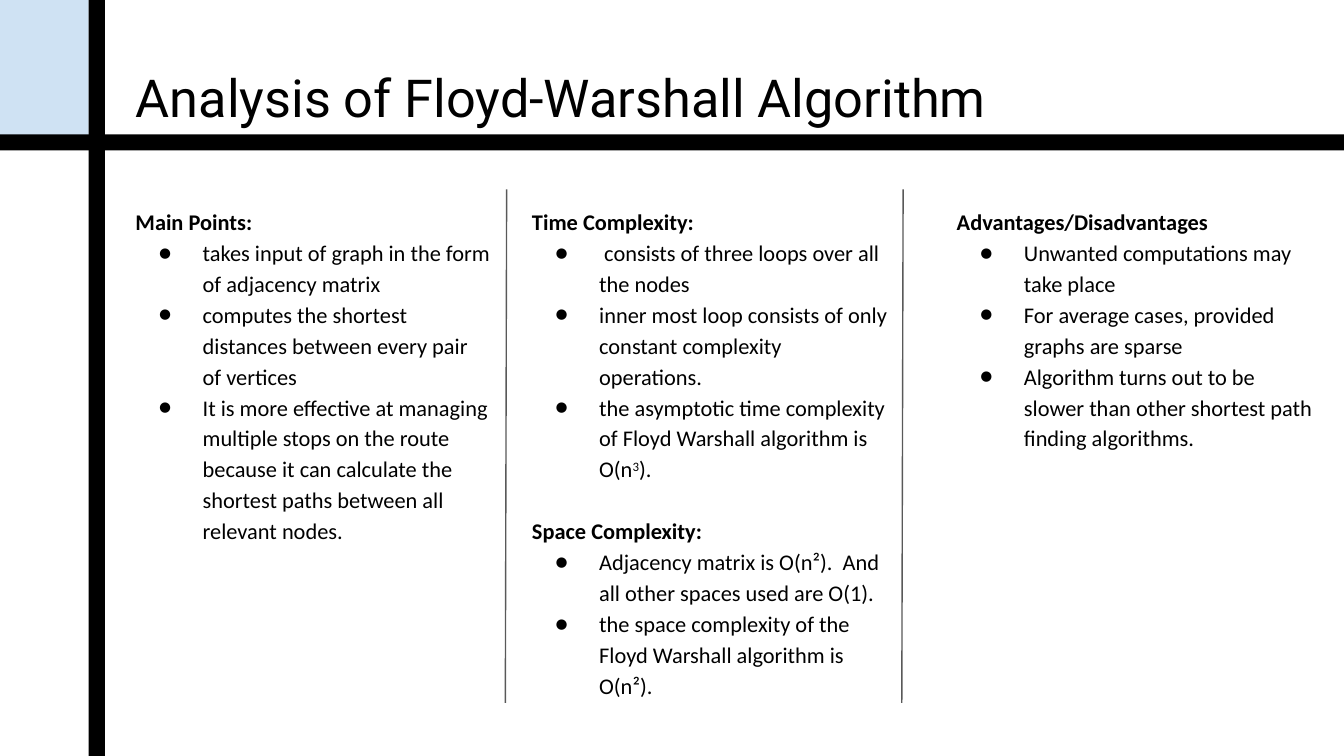
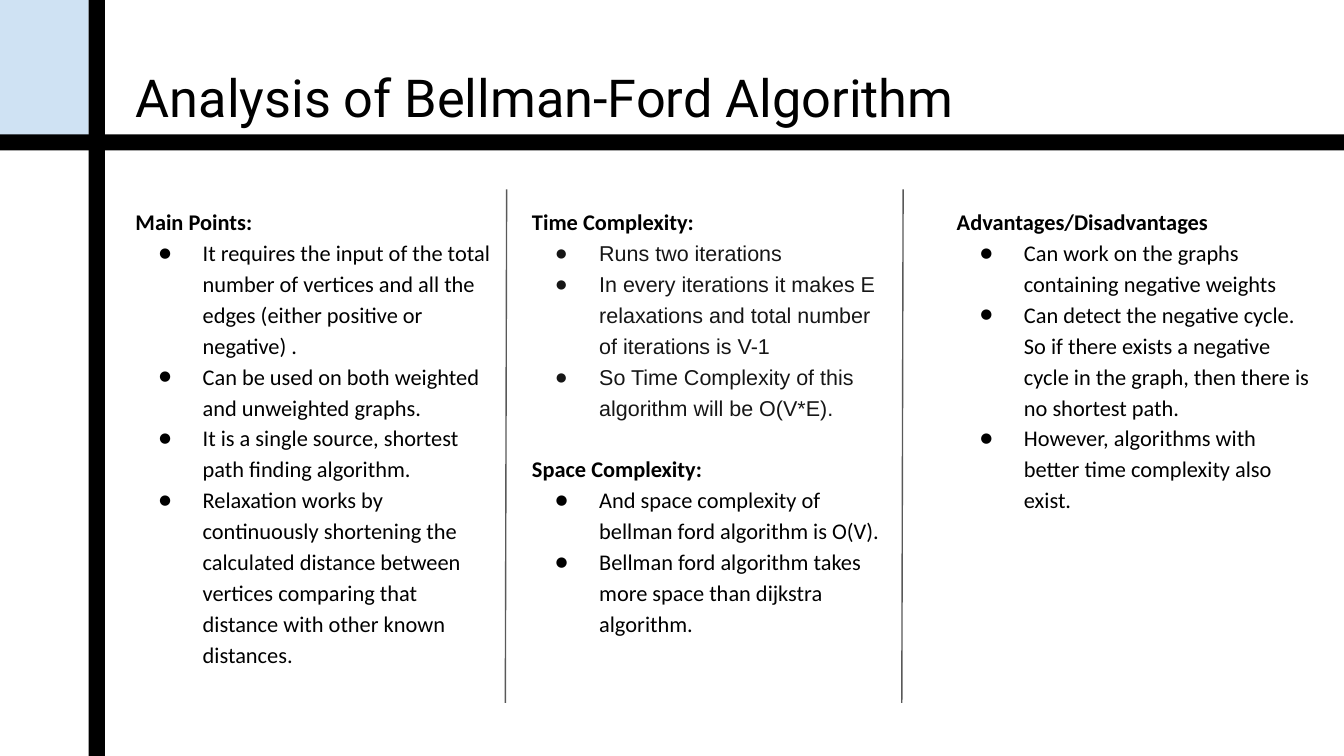
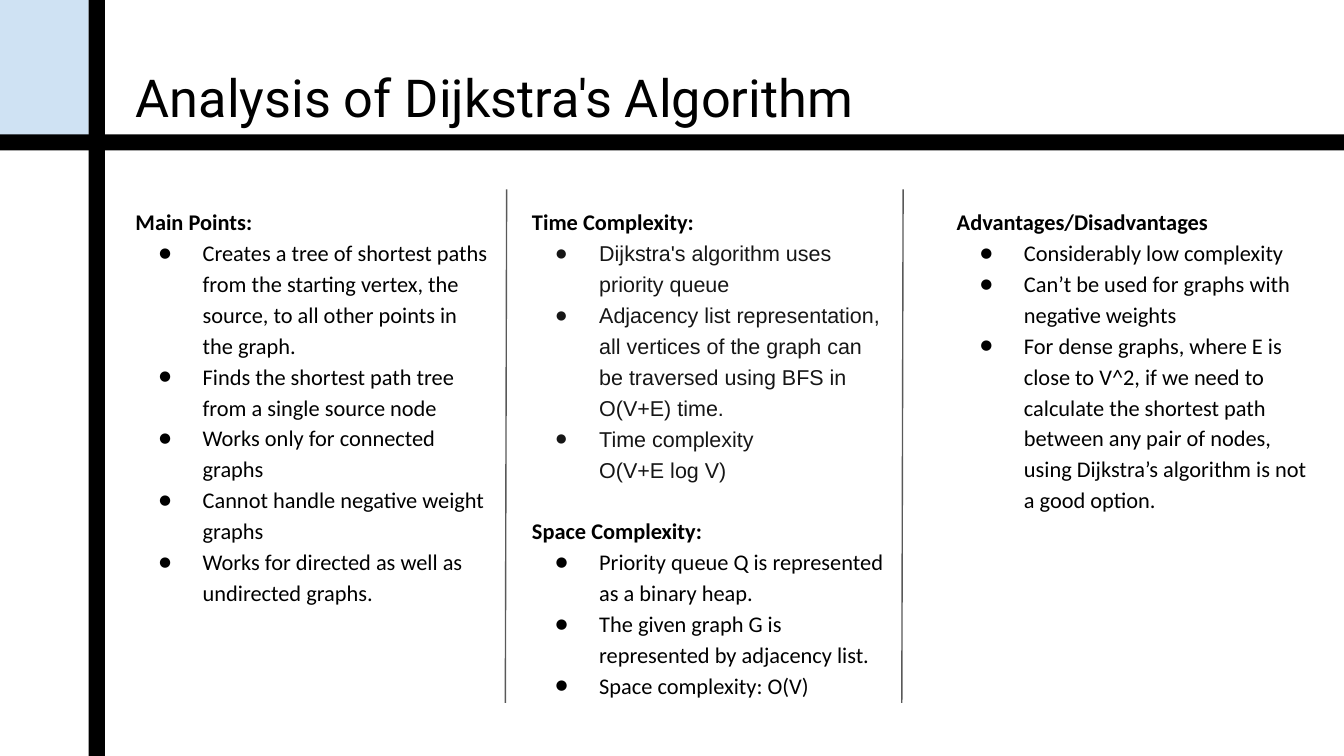
from lxml.etree import SubElement
from pptx import Presentation
from pptx.dml.color import RGBColor
from pptx.enum.shapes import MSO_CONNECTOR, MSO_SHAPE
from pptx.enum.text import MSO_ANCHOR, MSO_AUTO_SIZE, PP_ALIGN
from pptx.oxml.ns import qn
from pptx.util import Inches, Pt

WIDTH = 10
HEIGHT = WIDTH * 9 / 16

COLORS = {
    "corner": "CFE2F3",
    "band": "000000",
    "text": "000000",
    "soft_text": "161616",
    "divider": "595959",
}

# Text styles: font, size, colour, line spacing
BODY = ("Calibri", 12, "text", 1.15)
SOFT = ("Arial", 11.5, "soft_text", 1.2)

COLUMNS = ((0.91, 2.84), (3.86, 2.85), (7.02, 2.85))   # left, width
DIVIDER_LEFTS = (3.77, 6.72)
SECTION_GAP = 16.6
SUPERSCRIPT = "~"   # encloses raised characters
UNBULLETED = ">"    # starts a line that continues the item above


def rgb(name):
    return RGBColor.from_string(COLORS[name])


class Deck:
    def __init__(self):
        self.prs = Presentation()
        self.prs.slide_width = Inches(WIDTH)
        self.prs.slide_height = Inches(HEIGHT)
        self.s = None

    def add_slide(self, title):
        self.s = self.prs.slides.add_slide(self.prs.slide_layouts[5])
        self.band(0, 0, 0.66, 1.03, "corner")
        self.band(0, 1, WIDTH, 0.12, "band")
        self.band(0.66, 0, 0.12, HEIGHT, "band")
        self.title(title)

    def band(self, left, top, width, height, color):
        sp = self.s.shapes.add_shape(MSO_SHAPE.RECTANGLE, Inches(left), Inches(top),
                                     Inches(width), Inches(height))
        sp.shadow.inherit = False
        sp.fill.solid()
        sp.fill.fore_color.rgb = rgb(color)
        sp.line.fill.background()

    def frame(self, sp, anchor):
        tf = sp.text_frame
        tf.word_wrap = True
        tf.auto_size = MSO_AUTO_SIZE.NONE
        tf.vertical_anchor = anchor
        tf.margin_left = tf.margin_right = Inches(0.1)
        tf.margin_top = tf.margin_bottom = Inches(0.1)
        return tf

    def title(self, text):
        sp = self.s.shapes.title
        sp.left, sp.top = Inches(0.91), Inches(0.59)
        sp.width, sp.height = Inches(8.31), Inches(0.26)
        tf = self.frame(sp, MSO_ANCHOR.MIDDLE)
        tf.text = text
        p = tf.paragraphs[0]
        p.alignment = PP_ALIGN.LEFT
        self.font(p.runs[0], "Roboto", 28, "text")

    def font(self, r, name, size, color, bold=False):
        r.font.name = name
        r.font.size = Pt(size)
        r.font.bold = bold
        r.font.color.rgb = rgb(color)

    def paragraph(self, p, text, style, bold=False):
        name, size, color, spacing = style
        p.line_spacing = spacing
        for i, part in enumerate(text.split(SUPERSCRIPT)):
            r = p.add_run()
            r.text = part
            self.font(r, name, size, color, bold)
            if i % 2:
                r.font._element.set("baseline", "30000")

    def item(self, p, text, style):
        bulleted = not text.startswith(UNBULLETED)
        self.paragraph(p, text.removeprefix(UNBULLETED), style)
        pPr = p._p.get_or_add_pPr()
        pPr.set("marL", str(Inches(0.5)))
        pPr.set("indent", str(Inches(-0.33) if bulleted else 0))
        if bulleted:
            name, size, color, _ = style
            clr = SubElement(pPr, qn("a:buClr"))
            SubElement(clr, qn("a:srgbClr")).set("val", COLORS[color])
            SubElement(pPr, qn("a:buSzPts")).set("val", str(int(size * 100)))
            SubElement(pPr, qn("a:buFont")).set("typeface", name)
            SubElement(pPr, qn("a:buChar")).set("char", "●")

    def column(self, left, width, sections):
        sp = self.s.shapes.add_textbox(Inches(left), Inches(1.42), Inches(width), Inches(3.8))
        tf = self.frame(sp, MSO_ANCHOR.TOP)
        for i, (heading, style, items) in enumerate(sections):
            p = tf.add_paragraph() if i else tf.paragraphs[0]
            self.paragraph(p, heading, BODY, bold=True)
            if i:
                p.space_before = Pt(SECTION_GAP)
            for text in items:
                self.item(tf.add_paragraph(), text, style)

    def divider(self, left):
        ln = self.s.shapes.add_connector(MSO_CONNECTOR.STRAIGHT, Inches(left), Inches(1.41),
                                         Inches(left - 0.01), Inches(5.23))
        ln.line.color.rgb = rgb("divider")
        ln.line.width = Pt(0.75)
        SubElement(ln._element.spPr, qn("a:effectLst"))

    def analysis(self, algorithm, main, time_style, time, space, judgement):
        self.add_slide(f"Analysis of {algorithm} Algorithm")
        contents = (
            [("Main Points:", BODY, main)],
            [("Time Complexity:", time_style, time), ("Space Complexity:", BODY, space)],
            [("Advantages/Disadvantages", BODY, judgement)],
        )
        for (left, width), sections in zip(COLUMNS, contents):
            self.column(left, width, sections)
        for left in DIVIDER_LEFTS:
            self.divider(left)


def main():
    deck = Deck()

    # Floyd-Warshall
    deck.analysis(
        "Floyd-Warshall",
        main=[
            "takes input of graph in the form of adjacency matrix",
            "computes the shortest distances between every pair of vertices",
            "It is more effective at managing multiple stops on the route because it can "
            "calculate the shortest paths between all relevant nodes.",
        ],
        time_style=BODY,
        time=[
            " consists of three loops over all the nodes",
            "inner most loop consists of only constant complexity operations.",
            "the asymptotic time complexity of Floyd Warshall algorithm is O(n~3~).",
        ],
        space=[
            "Adjacency matrix is O(n²).  And all other spaces used are O(1).",
            "the space complexity of the Floyd Warshall algorithm is O(n²).",
        ],
        judgement=[
            "Unwanted computations may take place",
            "For average cases, provided graphs are sparse",
            "Algorithm turns out to be slower than other shortest path finding algorithms.",
        ],
    )

    # Bellman-Ford
    deck.analysis(
        "Bellman-Ford",
        main=[
            "It requires the input of the total number of vertices and all the edges "
            "(either positive or negative) .",
            "Can be used on both weighted and unweighted graphs.",
            "It is a single source, shortest path finding algorithm.",
            "Relaxation works by continuously shortening the calculated distance between "
            "vertices comparing that distance with other known distances.",
        ],
        time_style=SOFT,
        time=[
            "Runs two iterations",
            "In every iterations it makes E relaxations and total number of iterations is V-1",
            "So Time Complexity of this algorithm will be O(V*E).",
        ],
        space=[
            "And space complexity of bellman ford algorithm is O(V).",
            "Bellman ford algorithm takes more space than dijkstra algorithm.",
        ],
        judgement=[
            "Can work on the graphs containing negative weights",
            "Can detect the negative cycle. So if there exists a negative cycle in the graph, "
            "then there is no shortest path.",
            "However, algorithms with better time complexity also exist.",
        ],
    )

    # Dijkstra
    deck.analysis(
        "Dijkstra's",
        main=[
            "Creates a tree of shortest paths from the starting vertex, the source, to all "
            "other points in the graph.",
            "Finds the shortest path tree from a single source node",
            "Works only for connected graphs",
            "Cannot handle negative weight graphs",
            "Works for directed as well as undirected graphs.",
        ],
        time_style=SOFT,
        time=[
            "Dijkstra's algorithm uses priority queue",
            "Adjacency list representation, all vertices of the graph can be traversed using "
            "BFS in O(V+E) time.",
            "Time complexity",
            ">O(V+E log V)",
        ],
        space=[
            "Priority queue Q is represented as a binary heap.",
            "The given graph G is represented by adjacency list.",
            "Space complexity: O(V)",
        ],
        judgement=[
            "Considerably low complexity",
            "Can’t be used for graphs with negative weights",
            "For dense graphs, where E is close to V^2, if we need to calculate the shortest "
            "path between any pair of nodes, using Dijkstra’s algorithm is not a good option.",
        ],
    )

    deck.prs.save("out.pptx")


if __name__ == "__main__":
    main()
